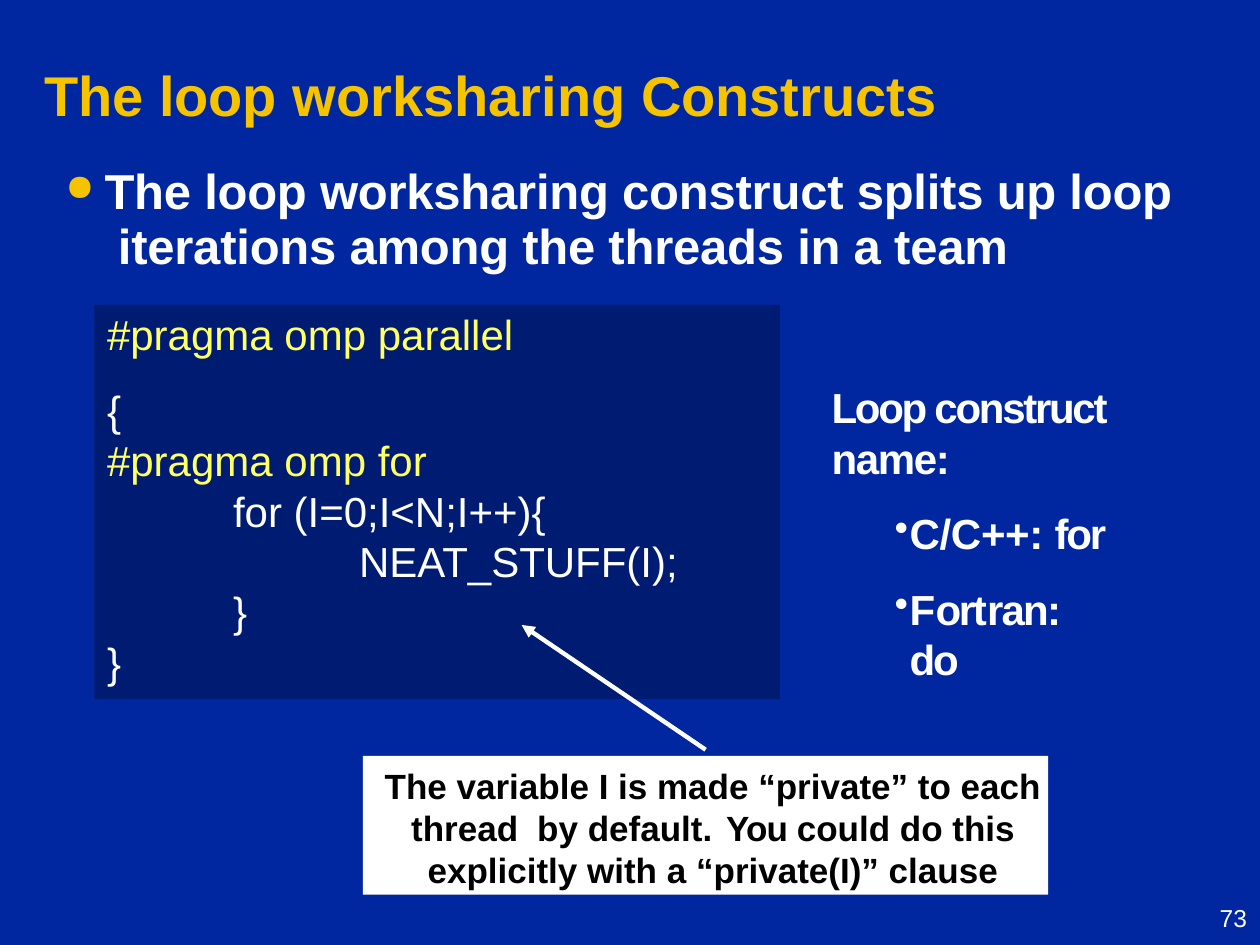
from lxml import etree
from pptx import Presentation
from pptx.dml.color import RGBColor
from pptx.enum.shapes import MSO_CONNECTOR, MSO_SHAPE
from pptx.enum.text import PP_ALIGN
from pptx.oxml.ns import qn
from pptx.util import Inches, Pt

RECTANGLE = MSO_SHAPE.RECTANGLE
STRAIGHT = MSO_CONNECTOR.STRAIGHT
CENTER = PP_ALIGN.CENTER

BLUE = RGBColor(0x00, 0x27, 0x9F)
NAVY = RGBColor(0x00, 0x1B, 0x72)
GOLD = RGBColor(0xF5, 0xC3, 0x00)
YELLOW = RGBColor(0xFF, 0xFF, 0x66)
WHITE = RGBColor(0xFF, 0xFF, 0xFF)
BLACK = RGBColor(0x00, 0x00, 0x00)

TITLE = "The loop worksharing Constructs"
SUMMARY = "The loop worksharing construct splits up loop  iterations among the threads in a team"
CODE = [
    ("#pragma omp parallel", YELLOW, 0, 0),
    ("{", WHITE, 0, 14.4),
    ("#pragma omp for", YELLOW, 0, 0),
    ("for (I=0;I<N;I++){", WHITE, 1, 0),
    ("NEAT_STUFF(I);", WHITE, 2, 0),
    ("}", WHITE, 1, 0),
    ("}", WHITE, 0, 0),
]
NAMES_HEADING = [("Loop construct ", -1.3), ("name:", -0.8)]
NAMES = [
    [("C/C++: ", -0.2), ("for", -1.3)],
    [("F", 0.1), ("ort", -1.3), ("ran: ", -1), ("do", -1.3)],
]
NOTE = [
    ("The variable I is made “private” to each thread\tby default.\t", 0),
    ("You ", -0.5),
    ("could do this explicitly with a “private(I)” clause", 0),
]
PAGE_NUMBER = "73"


def add_panel(page, left, top, width, height, color):
    panel = page.shapes.add_shape(
        RECTANGLE, Inches(left), Inches(top), Inches(width), Inches(height))
    panel.shadow.inherit = False
    panel.fill.solid()
    panel.fill.fore_color.rgb = color
    panel.line.fill.background()
    return panel


def set_frame(box, inset=0):
    frame = box.text_frame
    frame.word_wrap = True
    frame.margin_left = frame.margin_right = frame.margin_bottom = 0
    frame.margin_top = Inches(inset)
    return frame


def add_text(page, left, top, width, height, inset=0):
    box = page.shapes.add_textbox(
        Inches(left), Inches(top), Inches(width), Inches(height))
    return set_frame(box, inset)


def next_para(frame):
    first = frame.paragraphs[0]
    return frame.add_paragraph() if first.runs else first


def indent(para, left, hanging=0):
    properties = para._p.get_or_add_pPr()
    properties.set("marL", str(Inches(left)))
    properties.set("indent", str(Inches(-hanging)))
    return properties


def add_bullet(properties, char, percent, color=None):
    if color is not None:
        holder = etree.SubElement(properties, qn("a:buClr"))
        etree.SubElement(holder, qn("a:srgbClr"), val=str(color))
    etree.SubElement(properties, qn("a:buSzPct"), val=str(percent * 1000))
    etree.SubElement(properties, qn("a:buChar"), char=char)


def add_tabs(properties, stops):
    tabs = etree.SubElement(properties, qn("a:tabLst"))
    for stop in stops:
        etree.SubElement(tabs, qn("a:tab"), pos=str(Inches(stop)), algn="l")


def add_run(para, text, size, color, bold=False, spacing=0):
    span = para.add_run()
    span.text = text
    span.font.name = "Arial"
    span.font.size = Pt(size)
    span.font.bold = bold
    span.font.color.rgb = color
    if spacing:
        span._r.get_or_add_rPr().set("spc", str(round(spacing * 100)))


def add_arrow(page, start, end):
    arrow = page.shapes.add_connector(STRAIGHT, *map(Inches, start + end))
    arrow.line.color.rgb = WHITE
    arrow.line.width = Pt(2.5)
    etree.SubElement(arrow.line._get_or_add_ln(), qn("a:tailEnd"),
                     type="triangle", w="med", len="med")
    etree.SubElement(arrow._element.spPr, qn("a:effectLst"))


def main():
    deck = Presentation()
    deck.slide_width, deck.slide_height = Inches(10), Inches(7.5)
    page = deck.slides.add_slide(deck.slide_layouts[6])
    page.background.fill.solid()
    page.background.fill.fore_color.rgb = BLUE

    para = next_para(add_text(page, 0.34, 0.47, 7.6, 0.56, 0.01))
    indent(para, 0.01)
    add_run(para, TITLE, 32, GOLD, True)

    para = next_para(add_text(page, 0.5, 1.25, 8.9, 0.93, 0.05))
    add_bullet(indent(para, 0.33, 0.31), "●", 75, GOLD)
    para.line_spacing = Pt(31.6)
    add_run(para, SUMMARY, 28, WHITE, True, -0.1)

    add_panel(page, 0.75, 2.42, 5.44, 3.13, NAVY)
    frame = add_text(page, 0.84, 2.24, 4.9, 3.23, 0.21)
    for text, color, level, space in CODE:
        para = next_para(frame)
        indent(para, level + 0.01)
        para.space_before = Pt(space)
        add_run(para, text, 24, color)

    frame = add_text(page, 6.59, 3.02, 2.22, 2.03, 0.01)
    para = next_para(frame)
    indent(para, 0.01)
    for text, spacing in NAMES_HEADING:
        add_run(para, text, 24, WHITE, True, spacing)
    for name in NAMES:
        para = next_para(frame)
        add_bullet(indent(para, 0.63, 0.12), "•", 96)
        para.space_before = Pt(14.4)
        for text, spacing in name:
            add_run(para, text, 24, WHITE, True, spacing)

    note = add_panel(page, 2.88, 6, 5.44, 1.1, WHITE)
    para = next_para(set_frame(note, 0.04))
    add_tabs(indent(para, 0.12), (1.13, 2.66))
    para.alignment = CENTER
    for text, spacing in NOTE:
        add_run(para, text, 20, BLACK, True, spacing)

    add_arrow(page, (5.6, 5.95), (4.14, 4.96))

    para = next_para(add_text(page, 9.53, 7.17, 0.41, 0.25))
    indent(para, 0.15)
    para.line_spacing = Pt(16.5)
    add_run(para, PAGE_NUMBER, 14, WHITE)

    deck.save("out.pptx")


if __name__ == "__main__":
    main()
